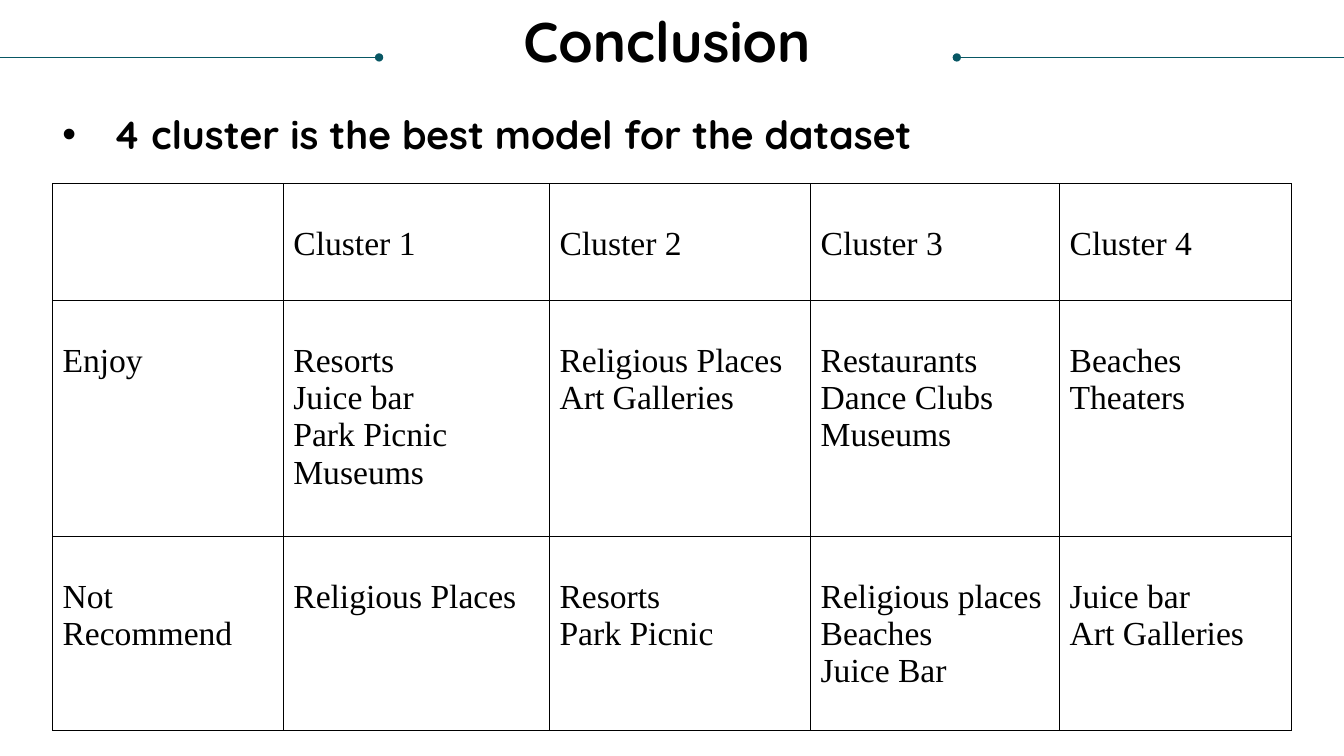
"""Build the Conclusion slide: a title between two rules, a bullet and a cluster table."""
import pptx
import pptx.dml.color
import pptx.enum.shapes
import pptx.enum.text
import pptx.oxml
import pptx.oxml.ns
import pptx.util

Inches = pptx.util.Inches
COLORS = {"ink": "000000", "rule": "085764"}
WIDTH, HEIGHT = 13.33, 7.5
MARGIN = 0.52
RULE_Y = 0.57
COLUMN_WIDTHS = [2.29, 2.64, 2.59, 2.47, 2.3]
ROW_HEIGHTS = [1.16, 2.34, 1.93]
CLUSTERS = [
    ["", "Cluster 1", "Cluster 2", "Cluster 3", "Cluster 4"],
    ["Enjoy", "Resorts\nJuice bar\nPark Picnic\nMuseums", "Religious Places\nArt Galleries",
     "Restaurants\nDance Clubs\nMuseums", "Beaches\nTheaters"],
    ["Not Recommend", "Religious Places", "Resorts\nPark Picnic",
     "Religious places\nBeaches\nJuice Bar", "Juice bar\nArt Galleries"],
]


def style(para, name, size, bold):
    para.font.name = name
    para.font.size = pptx.util.Pt(size)
    para.font.bold = bold
    para.font.color.rgb = pptx.dml.color.RGBColor.from_string(COLORS["ink"])


def add_xml(parent, markup):
    namespace = pptx.oxml.ns.nsdecls("a")
    parent.append(pptx.oxml.parse_xml(markup.replace("/>", f" {namespace}/>", 1)
                                      if markup.endswith("/>") and markup.count("<") == 1
                                      else markup.replace(">", f" {namespace}>", 1)))


deck = pptx.Presentation()
deck.slide_width = Inches(WIDTH)
deck.slide_height = Inches(HEIGHT)
page = deck.slides.add_slide(deck.slide_layouts[5])

title = page.shapes.title
title.left, title.top, title.width, title.height = map(Inches, (0.2, 0.14, 12.83, 1.03))
frame = title.text_frame
frame.text = "Conclusion"
frame.word_wrap = True
frame.vertical_anchor = pptx.enum.text.MSO_ANCHOR.TOP
frame.margin_left = frame.margin_right = frame.margin_top = frame.margin_bottom = 0
heading = frame.paragraphs[0]
heading.alignment = pptx.enum.text.PP_ALIGN.CENTER
heading.line_spacing = 0.9
style(heading, "Quicksand", 40, True)

for edge, dot in ((0, 3.76), (WIDTH, 9.49)):
    rule = page.shapes.add_connector(pptx.enum.shapes.MSO_CONNECTOR.STRAIGHT,
                                     Inches(edge), Inches(RULE_Y), Inches(dot), Inches(RULE_Y))
    rule.line.color.rgb = pptx.dml.color.RGBColor.from_string(COLORS["rule"])
    rule.line.width = pptx.util.Pt(0.5)
    add_xml(rule.line._get_or_add_ln(), '<a:tailEnd type="oval"/>')
    add_xml(rule._element.spPr, "<a:effectLst/>")

grid = page.shapes.add_table(len(ROW_HEIGHTS), len(COLUMN_WIDTHS), Inches(MARGIN), Inches(1.82),
                             Inches(sum(COLUMN_WIDTHS)), Inches(sum(ROW_HEIGHTS)))
table = grid.table
table.first_row = table.horz_banding = False
for column, width in zip(table.columns, COLUMN_WIDTHS):
    column.width = Inches(width)
for row, height, texts in zip(table.rows, ROW_HEIGHTS, CLUSTERS):
    row.height = Inches(height)
    for cell, text in zip(row.cells, texts):
        cell.text = text
        cell.margin_top = Inches(0.42)
        for para in cell.text_frame.paragraphs:
            style(para, "Times New Roman", 24, False)
        for side in ("lnL", "lnR", "lnT", "lnB"):
            add_xml(cell._tc.get_or_add_tcPr(),
                    f'<a:{side} w="6350"><a:solidFill><a:srgbClr val="{COLORS["ink"]}"/>'
                    f"</a:solidFill></a:{side}>")
        cell.fill.background()

box = page.shapes.add_textbox(Inches(MARGIN), Inches(0.81), Inches(WIDTH - 2 * MARGIN), Inches(1.42))
box.text_frame.word_wrap = True
bullet = box.text_frame.paragraphs[0]
bullet.text = "4 cluster is the best model for the dataset"
bullet.line_spacing = 1.5
indents = bullet._p.get_or_add_pPr()
indents.set("marL", str(Inches(0.5)))
indents.set("indent", str(-Inches(0.5)))
add_xml(indents, '<a:buFont typeface="Arial"/>')
add_xml(indents, '<a:buChar char="•"/>')
style(bullet, "Quicksand", 28, True)

deck.save("out.pptx")
